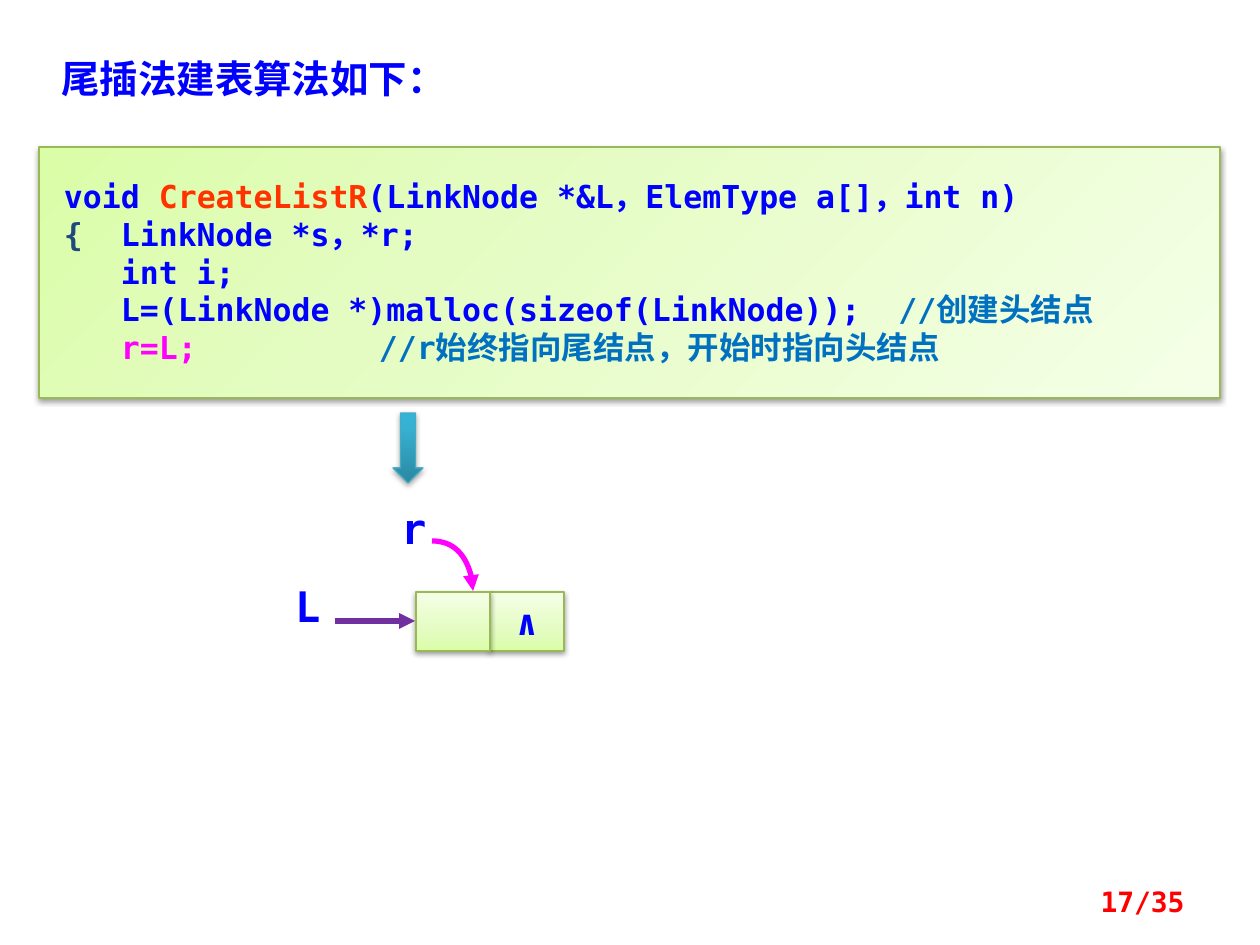
from lxml.etree import SubElement
from pptx import Presentation
from pptx.dml.color import RGBColor
from pptx.enum.shapes import MSO_CONNECTOR, MSO_SHAPE
from pptx.enum.text import MSO_ANCHOR, MSO_AUTO_SIZE, PP_ALIGN
from pptx.oxml import parse_xml
from pptx.oxml.ns import nsdecls, qn
from pptx.util import Emu, Pt

FONT = "DejaVu Sans Mono"
BLUE = RGBColor(0x00, 0x00, 0xFF)
ORANGE = RGBColor(0xFF, 0x33, 0x00)
NAVY = RGBColor(0x1F, 0x49, 0x7D)
COMMENT = RGBColor(0x00, 0x70, 0xC0)
MAGENTA = RGBColor(0xFF, 0x00, 0xFF)
PURPLE = RGBColor(0x70, 0x30, 0xA0)
RED = RGBColor(0xFF, 0x00, 0x00)
GREEN_EDGE = RGBColor(0x98, 0xB9, 0x55)
TEAL_EDGE = RGBColor(0x46, 0xAA, 0xC5)

GREEN_STOPS = [(0, RGBColor(0xDA, 0xFD, 0xA7)), (35, RGBColor(0xE4, 0xFC, 0xC2)),
               (100, RGBColor(0xF5, 0xFF, 0xE7))]
TEAL_STOPS = [(0, RGBColor(0x2A, 0x88, 0xA2)), (80, RGBColor(0x37, 0xB1, 0xD2)),
              (100, RGBColor(0x34, 0xB4, 0xD6))]

TITLE = "尾插法建表算法如下："
CODE = [
    [("void ", BLUE), ("CreateListR", ORANGE),
     ("(LinkNode *&L，ElemType a[]，int n)", BLUE)],
    [("{  ", NAVY), ("LinkNode *s，*r;", BLUE)],
    [("   int i;", BLUE)],
    [("   L=(LinkNode *)malloc(sizeof(LinkNode));  ", BLUE), ("//创建头结点", COMMENT)],
    [("   ", NAVY), ("r=L;\t\t\t", MAGENTA), ("//r始终指向尾结点，开始时指向头结点", COMMENT)],
]
NODE_CELLS = ["", "∧"]
POINTERS = [("L", 295, 581), ("r", 401, 503)]
PAGE_NUMBER = "17/35"

NODE_LEFT, NODE_TOP, CELL_WIDTH, CELL_HEIGHT = 416, 592, 74, 59


def px(*lengths):
    return [Emu(round(length * 914400 / 126)) for length in lengths]


def write(box, lines, size, align=PP_ALIGN.LEFT, anchor=MSO_ANCHOR.TOP,
          insets=None, wrap=True, grow=False):
    """Fill a shape with lines, each a list of (text, colour) spans."""
    frame = box.text_frame
    frame.word_wrap = wrap
    frame.auto_size = MSO_AUTO_SIZE.SHAPE_TO_FIT_TEXT if grow else MSO_AUTO_SIZE.NONE
    frame.vertical_anchor = anchor
    if insets:
        (frame.margin_left, frame.margin_top,
         frame.margin_right, frame.margin_bottom) = px(*insets)
    for index, spans in enumerate(lines):
        paragraph = frame.add_paragraph() if index else frame.paragraphs[0]
        paragraph.alignment = align
        font = paragraph.font
        font.name, font.size, font.bold = FONT, Pt(size), True
        for text, colour in spans:
            span = paragraph.add_run()
            span.text = text
            span.font.color.rgb = colour


def add_label(page, place, text, size, colour=BLUE, **options):
    box = page.shapes.add_textbox(*px(*place))
    write(box, [[(text, colour)]], size, **options)


def add_glossy(page, kind, place, stops, angle, edge, opacity):
    """Add a shape with a gradient, a thin edge and a soft shadow below."""
    shape = page.shapes.add_shape(kind, *px(*place))
    shape.line.color.rgb = edge
    shape.line.width = Pt(0.75)
    stop_xml = "".join(
        f'<a:gs pos="{at * 1000}"><a:srgbClr val="{colour}"/></a:gs>' for at, colour in stops)
    properties = shape._element.spPr
    properties.find(qn("a:prstGeom")).addnext(parse_xml(
        f'<a:gradFill {nsdecls("a")} rotWithShape="1"><a:gsLst>{stop_xml}</a:gsLst>'
        f'<a:lin ang="{angle * 60000}" scaled="0"/></a:gradFill>'))
    properties.append(parse_xml(
        f'<a:effectLst {nsdecls("a")}><a:outerShdw blurRad="40000" dist="20000" '
        f'dir="5400000" rotWithShape="0"><a:srgbClr val="000000">'
        f'<a:alpha val="{opacity * 1000}"/></a:srgbClr></a:outerShdw></a:effectLst>'))
    return shape


def finish_arrow(arrow, colour):
    arrow.line.color.rgb = colour
    arrow.line.width = Pt(3)
    SubElement(arrow.line._get_or_add_ln(), qn("a:tailEnd"), type="triangle")
    SubElement(arrow._element.spPr, qn("a:effectLst"))


def add_quarter_arrow(page, left, top, width, height, colour):
    """Add an arrow that leaves to the right and bends down a quarter ellipse."""
    builder = page.shapes.build_freeform(*px(left, top), scale=1.0)
    builder.add_line_segments([px(left + width, top + height)], close=False)
    arrow = builder.convert_to_shape()
    arrow.fill.background()
    outline = arrow._element.spPr.find(".//" + qn("a:path"))
    outline.set("fill", "none")
    segment = outline.find(qn("a:lnTo"))
    curve = SubElement(outline, qn("a:cubicBezTo"))
    for across, down in [(0.55, 0), (1, 0.45), (1, 1)]:
        x, y = px(width * across, height * down)
        SubElement(curve, qn("a:pt"), x=str(x), y=str(y))
    outline.remove(segment)
    finish_arrow(arrow, colour)


def main():
    deck = Presentation()
    deck.slide_width, deck.slide_height = px(1260, 945)
    page = deck.slides.add_slide(deck.slide_layouts[6])

    code_box = add_glossy(page, MSO_SHAPE.RECTANGLE, (39, 147, 1181, 251),
                          GREEN_STOPS, 45, GREEN_EDGE, 38)
    write(code_box, CODE, 18, insets=(25, 30, 20, 30), grow=True)
    add_label(page, (49, 49, 709, 59), TITLE, 22, grow=True)

    for index, text in reversed(list(enumerate(NODE_CELLS))):
        place = (NODE_LEFT + index * CELL_WIDTH, NODE_TOP, CELL_WIDTH, CELL_HEIGHT)
        cell = add_glossy(page, MSO_SHAPE.RECTANGLE, place, GREEN_STOPS, 270, GREEN_EDGE, 38)
        if text:
            write(cell, [[(text, BLUE)]], 20, align=PP_ALIGN.CENTER,
                  anchor=MSO_ANCHOR.MIDDLE, wrap=False)

    head_arrow = page.shapes.add_connector(MSO_CONNECTOR.STRAIGHT, *px(335, 621, 415, 621))
    finish_arrow(head_arrow, PURPLE)
    add_quarter_arrow(page, 432, 541, 41, 50, MAGENTA)
    for name, left, top in POINTERS:
        add_label(page, (left, top, 59, 50), name, 24, insets=(0, 0, 0, 0), grow=True)

    add_glossy(page, MSO_SHAPE.DOWN_ARROW, (393, 413, 30, 70),
               TEAL_STOPS, 270, TEAL_EDGE, 35)
    add_label(page, (903, 876, 294, 50), PAGE_NUMBER, 16, RED,
              align=PP_ALIGN.RIGHT, anchor=MSO_ANCHOR.MIDDLE)
    deck.save("out.pptx")


if __name__ == "__main__":
    main()
